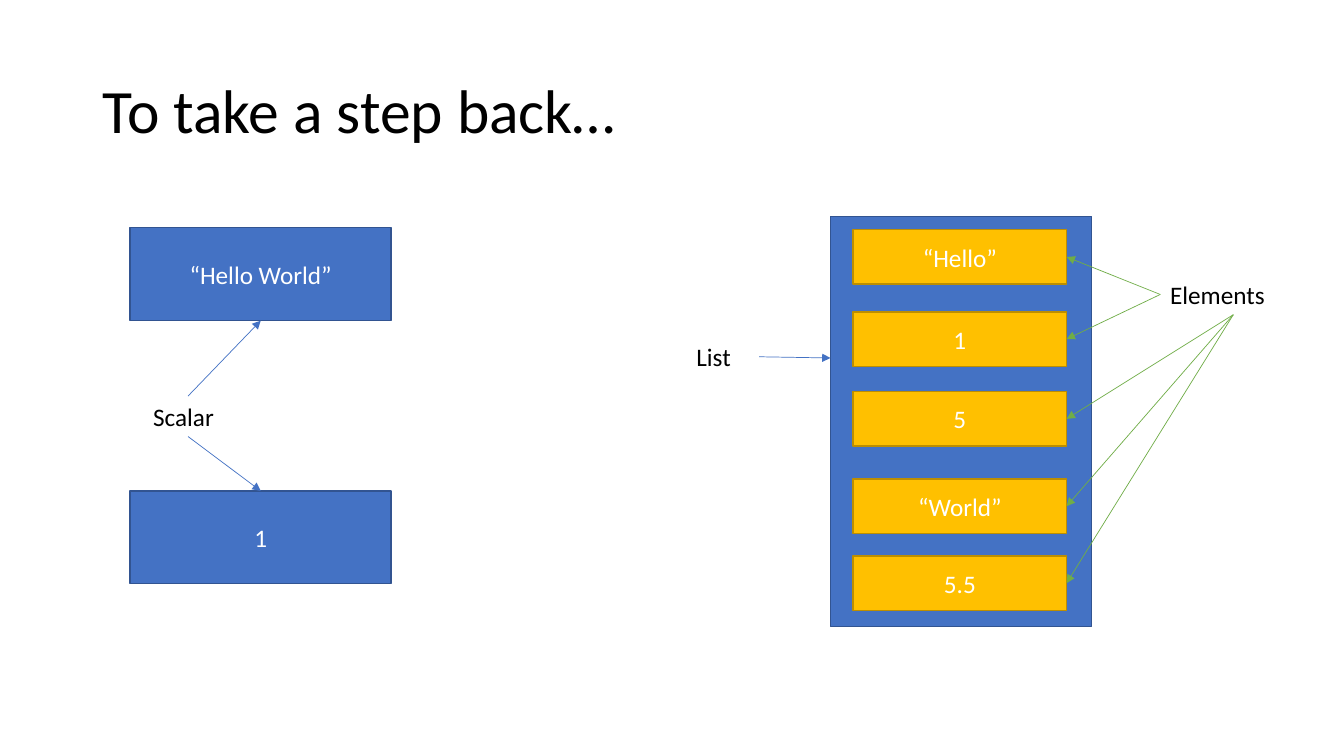
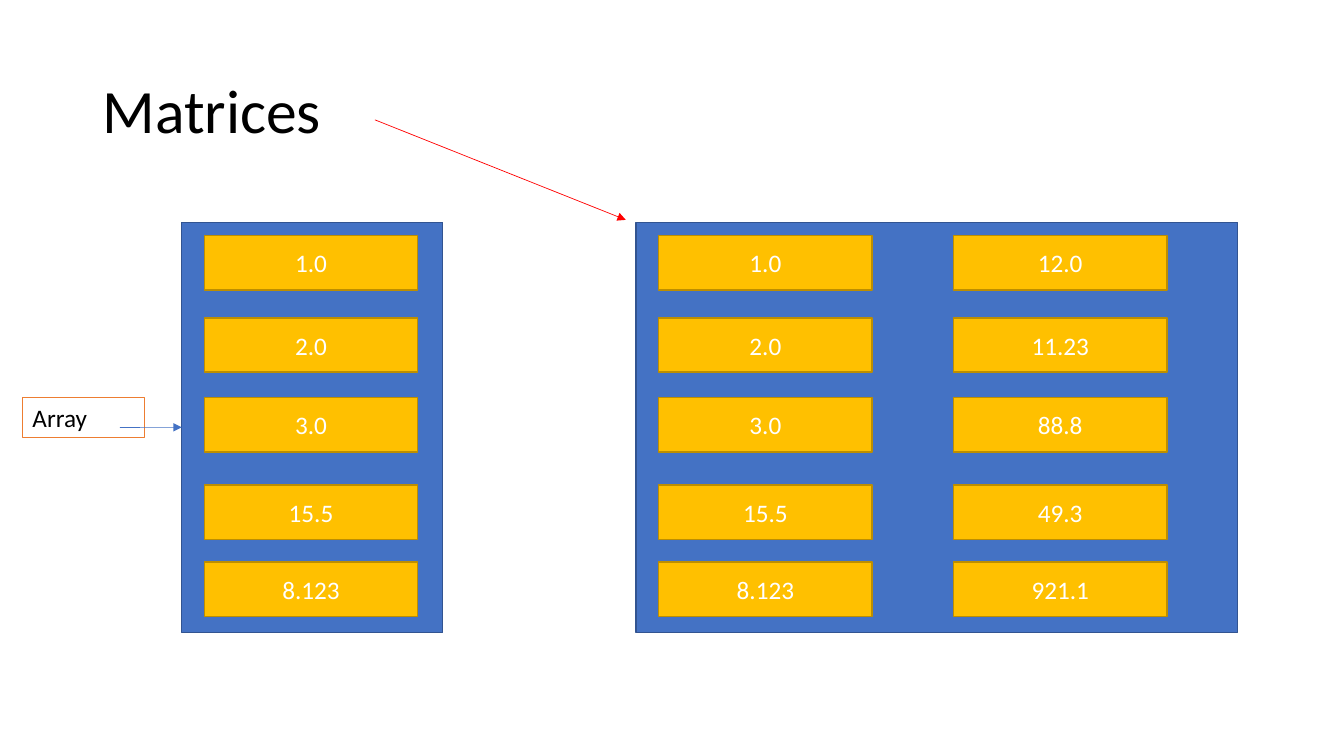
"""Build two slides that compare scalars, lists, arrays and matrices."""

import dataclasses
import typing

import lxml.etree
import pptx
import pptx.dml.color
import pptx.enum.shapes
import pptx.enum.text
import pptx.oxml.ns
import pptx.presentation
import pptx.shapes.autoshape
import pptx.shapes.base
import pptx.slide
import pptx.util

Cm = pptx.util.Cm
Pt = pptx.util.Pt
Color = pptx.dml.color.RGBColor


@dataclasses.dataclass(frozen=True)
class Theme:
    font: str = "Calibri"
    title_size: int = 44
    text_size: int = 18
    outline_width: float = 1
    arrow_width: float = 0.5
    text: Color = Color(0x00, 0x00, 0x00)
    light: Color = Color(0xFF, 0xFF, 0xFF)
    blue: Color = Color(0x44, 0x72, 0xC4)
    blue_outline: Color = Color(0x32, 0x54, 0x91)
    gold: Color = Color(0xFF, 0xC0, 0x00)
    gold_outline: Color = Color(0xBD, 0x8E, 0x00)
    orange: Color = Color(0xED, 0x7D, 0x31)
    green: Color = Color(0x70, 0xAD, 0x47)
    red: Color = Color(0xFF, 0x00, 0x00)


THEME = Theme()
ROW_OFFSETS = (0.34, 2.41, 4.42, 6.62, 8.56)
COLUMN_OFFSETS = (0.57, 8.0)
CELL_WIDTH, CELL_HEIGHT = 5.38, 1.37
PANEL_WIDTH, PANEL_HEIGHT = 6.58, 10.34
LABEL_HEIGHT = 1.02
TOP, LEFT, BOTTOM, RIGHT = range(4)


class Box(typing.NamedTuple):
    left: float
    top: float
    width: float
    height: float

    def lengths(self) -> list[pptx.util.Cm]:
        return [Cm(value) for value in self]


class BoxStyle(typing.NamedTuple):
    fill: Color
    outline: Color


class Point(typing.NamedTuple):
    x: float
    y: float


class Site(typing.NamedTuple):
    shape: pptx.shapes.base.BaseShape
    side: int


PANEL_STYLE = BoxStyle(THEME.blue, THEME.blue_outline)
CELL_STYLE = BoxStyle(THEME.gold, THEME.gold_outline)


def add_titled_slide(presentation: pptx.presentation.Presentation, title: str) -> pptx.slide.Slide:
    slide = presentation.slides.add_slide(presentation.slide_layouts[5])
    shape = slide.shapes.title
    shape.left, shape.top, shape.width, shape.height = Box(2.33, 1.01, 29.21, 3.68).lengths()
    frame = shape.text_frame
    frame.text = title
    frame.auto_size = pptx.enum.text.MSO_AUTO_SIZE.NONE
    frame.vertical_anchor = pptx.enum.text.MSO_ANCHOR.MIDDLE
    paragraph = frame.paragraphs[0]
    paragraph.alignment = pptx.enum.text.PP_ALIGN.LEFT
    paragraph.line_spacing = 0.9
    format_font(paragraph, THEME.title_size, THEME.text)
    return slide


def format_font(paragraph: typing.Any, size: int, color: Color) -> None:
    paragraph.font.name = THEME.font
    paragraph.font.size = Pt(size)
    paragraph.font.color.rgb = color


def add_box(
    slide: pptx.slide.Slide, box: Box, style: BoxStyle, text: str = ""
) -> pptx.shapes.autoshape.Shape:
    shape = slide.shapes.add_shape(pptx.enum.shapes.MSO_SHAPE.RECTANGLE, *box.lengths())
    shape.shadow.inherit = False
    shape.fill.solid()
    shape.fill.fore_color.rgb = style.fill
    shape.line.color.rgb = style.outline
    shape.line.width = Pt(THEME.outline_width)
    if text:
        frame = shape.text_frame
        frame.text = text
        frame.vertical_anchor = pptx.enum.text.MSO_ANCHOR.MIDDLE
        paragraph = frame.paragraphs[0]
        paragraph.alignment = pptx.enum.text.PP_ALIGN.CENTER
        format_font(paragraph, THEME.text_size, THEME.light)
    return shape


def add_label(
    slide: pptx.slide.Slide, left: float, top: float, width: float, text: str
) -> pptx.shapes.autoshape.Shape:
    label = slide.shapes.add_textbox(*Box(left, top, width, LABEL_HEIGHT).lengths())
    frame = label.text_frame
    frame.word_wrap = True
    frame.auto_size = pptx.enum.text.MSO_AUTO_SIZE.SHAPE_TO_FIT_TEXT
    frame.text = text
    format_font(frame.paragraphs[0], THEME.text_size, THEME.text)
    return label


def add_panel(
    slide: pptx.slide.Slide, left: float, top: float, width: float, *columns: tuple[str, ...]
) -> tuple[pptx.shapes.autoshape.Shape, list[pptx.shapes.autoshape.Shape]]:
    panel = add_box(slide, Box(left, top, width, PANEL_HEIGHT), PANEL_STYLE)
    cells = [
        add_box(slide, Box(left + across, top + down, CELL_WIDTH, CELL_HEIGHT), CELL_STYLE, value)
        for across, values in zip(COLUMN_OFFSETS, columns)
        for down, value in zip(ROW_OFFSETS, values)
    ]
    return panel, cells


def add_arrow(
    slide: pptx.slide.Slide, start: Point | Site, end: Point | Site, color: Color = THEME.blue
) -> None:
    ends = [
        (Cm(place.x), Cm(place.y)) if isinstance(place, Point) else (Cm(0), Cm(0))
        for place in (start, end)
    ]
    arrow = slide.shapes.add_connector(
        pptx.enum.shapes.MSO_CONNECTOR.STRAIGHT, *ends[0], *ends[1]
    )
    if isinstance(start, Site):
        arrow.begin_connect(start.shape, start.side)
    if isinstance(end, Site):
        arrow.end_connect(end.shape, end.side)
    arrow.line.color.rgb = color
    arrow.line.width = Pt(THEME.arrow_width)
    qualified = pptx.oxml.ns.qn
    properties = arrow.element.find(qualified("p:spPr"))
    outline = properties.find(qualified("a:ln"))
    lxml.etree.SubElement(outline, qualified("a:tailEnd"), type="triangle")
    lxml.etree.SubElement(properties, qualified("a:effectLst"))


def build_scalars_and_list(presentation: pptx.presentation.Presentation) -> None:
    slide = add_titled_slide(presentation, "To take a step back…")
    text_scalar, number_scalar = (
        add_box(slide, Box(3.28, top, PANEL_WIDTH, 2.34), PANEL_STYLE, value)
        for top, value in ((5.74, "“Hello World”"), (12.37, "1"))
    )
    scalar_label = add_label(slide, 3.61, 9.98, 2.26, "Scalar")
    add_arrow(slide, Site(scalar_label, TOP), Site(text_scalar, BOTTOM))
    add_arrow(slide, Site(scalar_label, BOTTOM), Site(number_scalar, TOP))

    _, elements = add_panel(
        slide, 20.93, 5.45, PANEL_WIDTH, ("“Hello”", "1", "5", "“World”", "5.5")
    )
    list_label = add_label(slide, 17.3, 8.48, 1.83, "List")
    add_arrow(slide, Site(list_label, RIGHT), Point(20.93, 9.02))
    elements_label = add_label(slide, 29.24, 6.91, 3.68, "Elements")
    for element, side in zip(elements, (LEFT, LEFT, BOTTOM, BOTTOM, BOTTOM)):
        add_arrow(slide, Site(elements_label, side), Site(element, RIGHT), THEME.green)


def build_matrices(presentation: pptx.presentation.Presentation) -> None:
    slide = add_titled_slide(presentation, "Matrices")
    array_values = ("1.0", "2.0", "3.0", "15.5", "8.123")
    second_values = ("12.0", "11.23", "88.8", "49.3", "921.1")
    panel_top = 5.6
    array, _ = add_panel(slide, 4.58, panel_top, PANEL_WIDTH, array_values)
    array_label = add_label(slide, 0.57, 10.01, 3.07, "Array")
    array_label.fill.solid()
    array_label.fill.fore_color.rgb = THEME.light
    array_label.line.color.rgb = THEME.orange
    array_label.line.width = Pt(THEME.outline_width)
    add_arrow(slide, Point(3.02, panel_top + PANEL_HEIGHT / 2), Site(array, LEFT))
    add_panel(slide, 16.03, panel_top, 15.16, array_values, second_values)
    add_arrow(slide, Point(9.45, 3.02), Point(15.77, 5.54), THEME.red)


def main() -> None:
    presentation = pptx.Presentation()
    presentation.slide_width = Cm(33.87)
    presentation.slide_height = Cm(19.05)
    build_scalars_and_list(presentation)
    build_matrices(presentation)
    presentation.save("out.pptx")


main()
